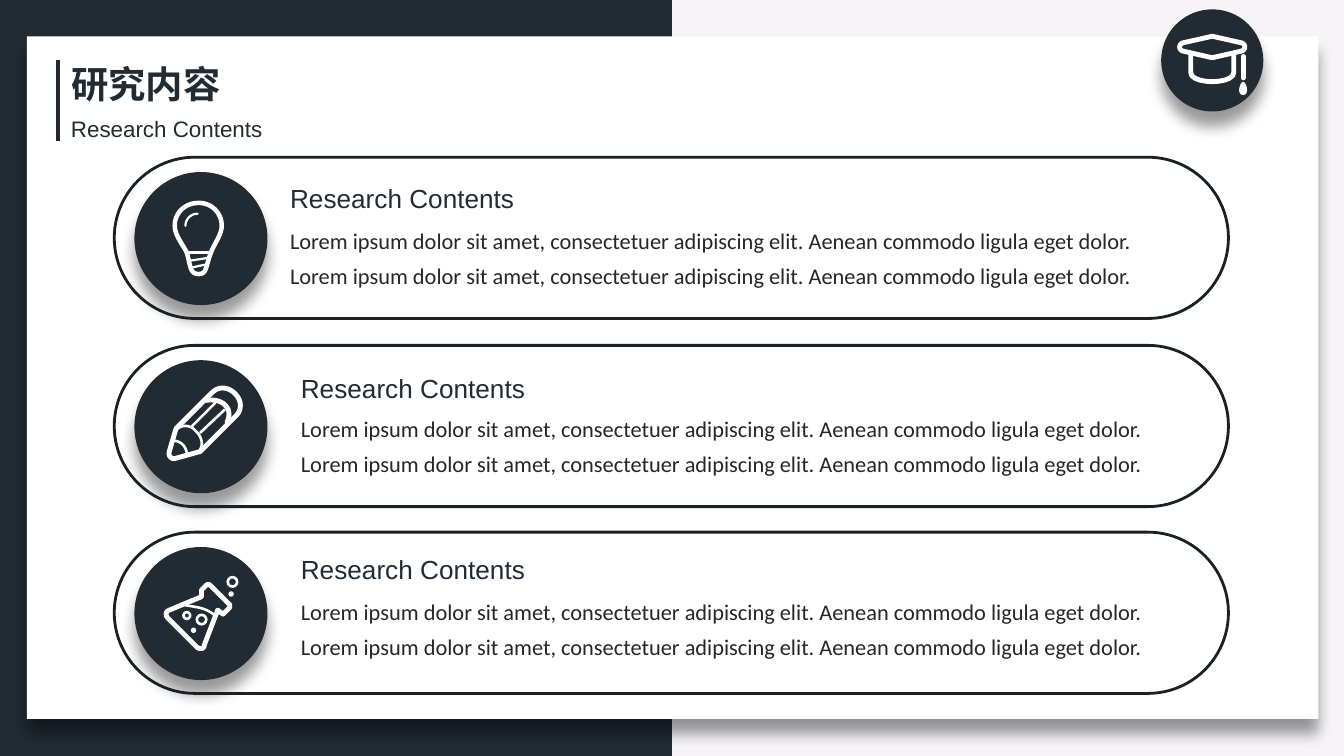
from lxml import etree
from pptx import Presentation
from pptx.dml.color import RGBColor
from pptx.enum.shapes import MSO_CONNECTOR, MSO_SHAPE
from pptx.enum.text import MSO_AUTO_SIZE as AutoSize
from pptx.oxml import parse_xml
from pptx.oxml.ns import nsdecls, qn
from pptx.util import Inches, Pt

NAVY = RGBColor(0x22, 0x2B, 0x34)
OUTLINE = RGBColor(0x19, 0x20, 0x26)
BODY = RGBColor(0x26, 0x26, 0x26)
WHITE = RGBColor(0xFF, 0xFF, 0xFF)
PALE = RGBColor(0xF6, 0xF4, 0xF7)

# Slide size, 16:9
WIDTH = 10
HEIGHT = WIDTH * 9 / 16

# Content
TITLE = "研究内容"
SUBTITLE = "Research Contents"
SENTENCE = "Lorem ipsum dolor sit amet, consectetuer adipiscing elit. Aenean commodo ligula eget dolor. "
DETAIL = SENTENCE * 2
# Per row: heading, detail, row top, text left, heading top, detail top
ROWS = [
    (SUBTITLE, DETAIL, 1.17, 2.06, 1.31, 1.58),
    (SUBTITLE, DETAIL, 2.57, 2.14, 2.72, 2.98),
    (SUBTITLE, DETAIL, 3.96, 2.14, 4.07, 4.34),
]

TITLE_FORMAT = {"name": "Noto Sans CJK SC", "size": Pt(20), "bold": True}
SUBTITLE_FORMAT = {"name": "Arial", "size": Pt(12)}
HEADING_FORMAT = {"name": "Arial", "size": Pt(14)}
DETAIL_FORMAT = {"name": "Calibri", "size": Pt(12)}

# Icon strokes: width in points, closed, then points; six numbers are a curve
CAP = [
    (2.6, True, [(9.02, 0.27), (9.24, 0.32), (9.27, 0.33, 9.27, 0.37, 9.24, 0.38),
                 (9.02, 0.43), (8.8, 0.38), (8.77, 0.37, 8.77, 0.33, 8.8, 0.32)]),
    (2.6, False, [(8.86, 0.4), (8.86, 0.54), (8.86, 0.63, 9.18, 0.63, 9.18, 0.54), (9.18, 0.4)]),
    (2.6, False, [(9.25, 0.42), (9.25, 0.58)]),
]
TASSEL = [(9.25, 0.61), (9.27, 0.61, 9.28, 0.66, 9.28, 0.67), (9.28, 0.72, 9.22, 0.72, 9.22, 0.67),
          (9.22, 0.66, 9.23, 0.61, 9.25, 0.61)]
BULB = [
    (2.4, True, [(1.48, 1.51), (1.57, 1.51, 1.65, 1.58, 1.65, 1.68),
                 (1.65, 1.75, 1.59, 1.82, 1.57, 1.88), (1.53, 1.98, 1.54, 2.04, 1.48, 2.04),
                 (1.41, 2.04, 1.42, 1.98, 1.39, 1.88), (1.36, 1.82, 1.3, 1.75, 1.3, 1.68),
                 (1.3, 1.58, 1.38, 1.51, 1.48, 1.51)]),
    (2, False, [(1.39, 1.88), (1.56, 1.88)]),
    (1.2, False, [(1.41, 1.94), (1.54, 1.92)]),
    (1.2, False, [(1.43, 1.99), (1.52, 1.97)]),
    (1.2, False, [(1.38, 1.68), (1.38, 1.63, 1.42, 1.59, 1.47, 1.59)]),
]
PENCIL = [
    (2.6, True, [(1.31, 3.19), (1.58, 2.92), (1.63, 2.87, 1.7, 2.88, 1.75, 2.93),
                 (1.8, 2.98, 1.8, 3.05, 1.76, 3.09), (1.49, 3.36), (1.31, 3.41),
                 (1.28, 3.42, 1.25, 3.4, 1.26, 3.36)]),
    (2.6, False, [(1.53, 2.98), (1.58, 2.97, 1.65, 2.98, 1.68, 3.02), (1.71, 3.05, 1.71, 3.1, 1.69, 3.14)]),
    (1.4, False, [(1.32, 3.19), (1.36, 3.16, 1.42, 3.16, 1.46, 3.21), (1.5, 3.25, 1.52, 3.31, 1.48, 3.36)]),
    (1.4, False, [(1.43, 3.17), (1.6, 3)]),
    (1.4, False, [(1.49, 3.22), (1.67, 3.05)]),
    (1.4, False, [(1.29, 3.28), (1.35, 3.28, 1.39, 3.33, 1.39, 3.38)]),
]
FLASK = [
    (2.6, True, [(1.5, 4.44), (1.26, 4.54), (1.23, 4.55, 1.23, 4.58, 1.25, 4.6), (1.47, 4.82),
                 (1.49, 4.83, 1.52, 4.83, 1.52, 4.8), (1.62, 4.54), (1.66, 4.57),
                 (1.71, 4.52), (1.71, 4.5), (1.56, 4.35), (1.54, 4.35), (1.5, 4.39)]),
    (1.4, False, [(1.37, 4.5), (1.44, 4.52, 1.52, 4.51, 1.6, 4.58)]),
]
# Bubbles: centre x, centre y, diameter, ring or dot
BUBBLES = [(1.5, 4.61, 0.07, True), (1.73, 4.33, 0.07, True), (1.39, 4.58, 0.05, True),
           (1.44, 4.69, 0.04, False), (1.72, 4.42, 0.04, False)]

presentation = Presentation()
presentation.slide_width, presentation.slide_height = Inches(WIDTH), Inches(HEIGHT)
slide = presentation.slides.add_slide(presentation.slide_layouts[6])
shapes = slide.shapes
slide.background.fill.solid()
slide.background.fill.fore_color.rgb = PALE


def paint(shape, fill=None, line=None, width=1.5):
    shape.shadow.inherit = False
    if fill is None:
        shape.fill.background()
    else:
        shape.fill.solid()
        shape.fill.fore_color.rgb = fill
    if line is None:
        shape.line.fill.background()
    else:
        shape.line.color.rgb = line
        shape.line.width = Pt(width)
    return shape


def add_box(kind, box, **colours):
    return paint(shapes.add_shape(kind, *map(Inches, box)), **colours)


def add_shadow(shape):
    effects = shape._element.spPr.find(qn("a:effectLst"))
    effects.append(parse_xml(
        f'<a:outerShdw {nsdecls("a")} blurRad="{Pt(8)}" dist="{Pt(8)}" dir="5400000" algn="t" rotWithShape="0">'
        '<a:srgbClr val="000000"><a:alpha val="40000"/></a:srgbClr></a:outerShdw>'))


def flatten(points, steps=10):
    """Turn curves into short straight runs."""
    result = [points[0]]
    for point in points[1:]:
        if len(point) == 2:
            result.append(point)
            continue
        corners = [result[-1], point[:2], point[2:4], point[4:]]
        for step in range(1, steps + 1):
            t = step / steps
            weights = ((1 - t) ** 3, 3 * t * (1 - t) ** 2, 3 * t * t * (1 - t), t ** 3)
            result.append(tuple(sum(w * c[axis] for w, c in zip(weights, corners)) for axis in (0, 1)))
    return [(Inches(x), Inches(y)) for x, y in result]


def add_outline(points, closed, **colours):
    first, *rest = flatten(points)
    builder = shapes.build_freeform(*first)
    builder.add_line_segments(rest, close=closed)
    return paint(builder.convert_to_shape(), **colours)


def add_icon(strokes):
    for width, closed, points in strokes:
        shape = add_outline(points, closed, line=WHITE, width=width)
        line = shape.line._get_or_add_ln()
        line.set("cap", "rnd")
        etree.SubElement(line, qn("a:round"))


def add_text(text, box, style, colour=NAVY, wrap=False):
    frame = shapes.add_textbox(*map(Inches, box)).text_frame
    frame.word_wrap = wrap
    frame.auto_size = AutoSize.SHAPE_TO_FIT_TEXT
    paragraph = frame.paragraphs[0]
    run = paragraph.add_run()
    run.text = text
    for key, value in style.items():
        setattr(run.font, key, value)
    run.font.color.rgb = colour
    etree.SubElement(run._r.get_or_add_rPr(), qn("a:ea")).set("typeface", style["name"])
    return paragraph


# Backdrop and white card
add_box(MSO_SHAPE.RECTANGLE, (0, 0, WIDTH / 2, HEIGHT), fill=NAVY)
add_shadow(add_box(MSO_SHAPE.RECTANGLE, (0.2, 0.27, 9.61, 5.08), fill=WHITE))

# Title with its rule
rule = shapes.add_connector(MSO_CONNECTOR.STRAIGHT, *map(Inches, (0.43, 0.45, 0.43, 1.05)))
rule.line.color.rgb = NAVY
rule.line.width = Pt(2.25)
etree.SubElement(rule._element.spPr, qn("a:effectLst"))
add_text(TITLE, (0.43, 0.41, 1.32, 0.44), TITLE_FORMAT)
add_text(SUBTITLE, (0.43, 0.81, 1.64, 0.3), SUBTITLE_FORMAT)

# Graduation cap badge
add_shadow(add_box(MSO_SHAPE.OVAL, (8.64, 0.07, 0.76, 0.76), fill=NAVY))
add_icon(CAP)
add_outline(TASSEL, True, fill=WHITE)

# Content rows
for heading, detail, top, left, heading_top, detail_top in ROWS:
    add_shadow(add_box(MSO_SHAPE.OVAL, (1, top + 0.11, 0.99, 0.99), fill=NAVY))
    pill = add_box(MSO_SHAPE.ROUNDED_RECTANGLE, (0.85, top, 8.29, 1.2), line=OUTLINE)
    pill.adjustments[0] = 0.5
    add_text(heading, (left, heading_top, 1.88, 0.34), HEADING_FORMAT)
    paragraph = add_text(detail, (left, detail_top, 6.92, 0.63), DETAIL_FORMAT, BODY, wrap=True)
    paragraph.line_spacing = 1.3
    paragraph.space_before = Pt(6)

# Row icons
for icon in (BULB, PENCIL, FLASK):
    add_icon(icon)
for x, y, size, ring in BUBBLES:
    colours = {"line": WHITE, "width": 1.4} if ring else {"fill": WHITE}
    add_box(MSO_SHAPE.OVAL, (x - size / 2, y - size / 2, size, size), **colours)

presentation.save("out.pptx")
